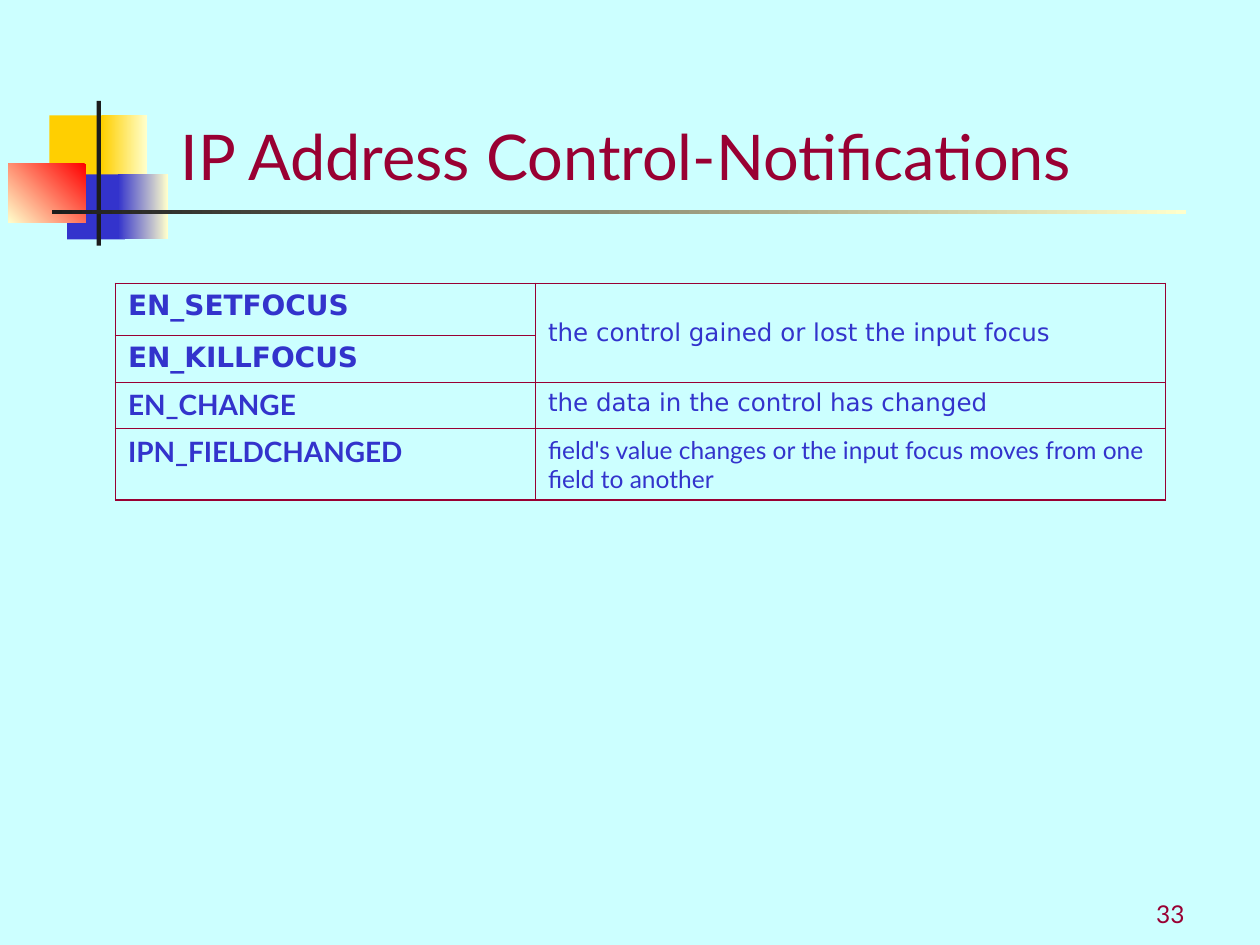
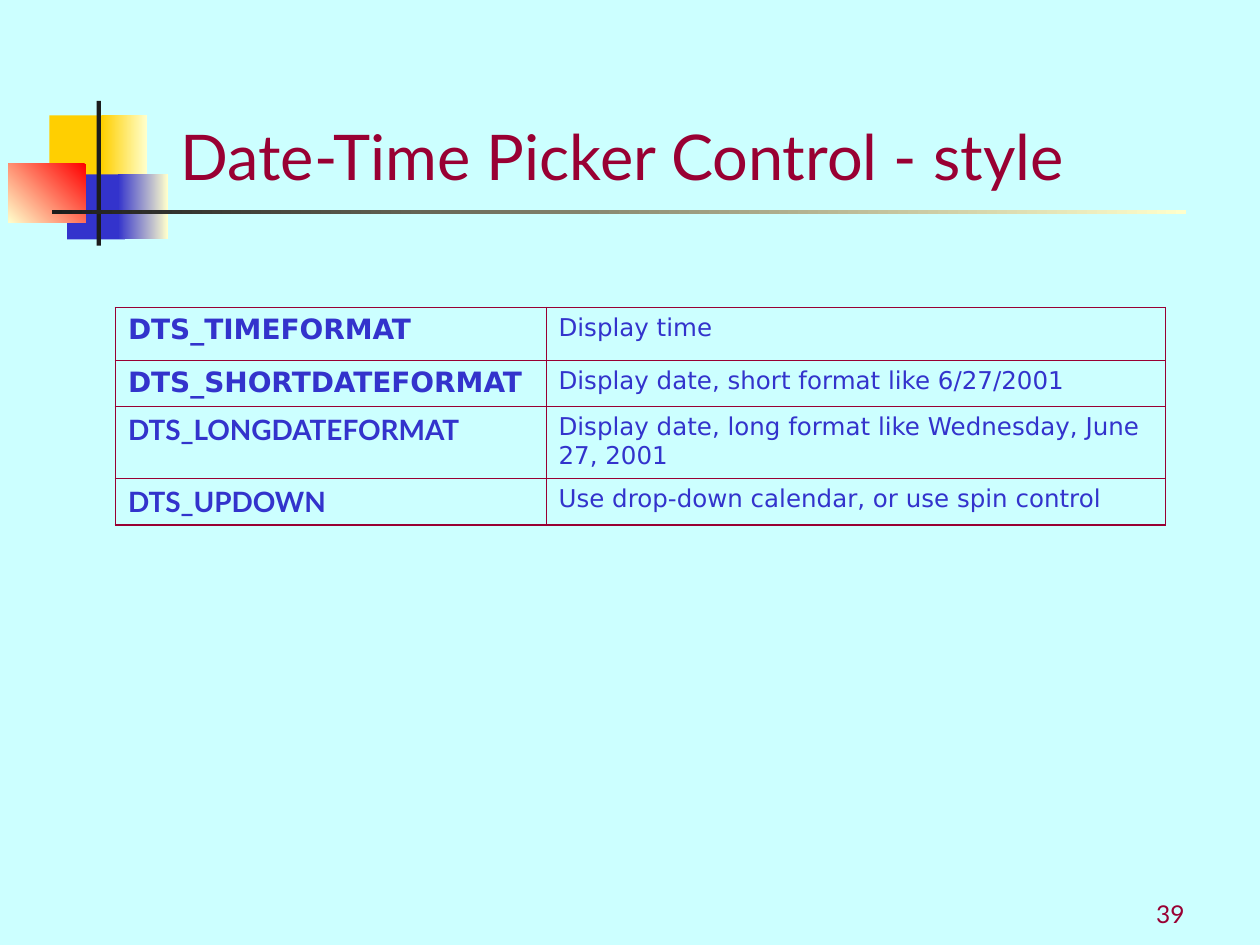
"""Build two slides listing control notifications and styles, on a 120 by 90 grid."""
from lxml.etree import SubElement
from pptx import Presentation
from pptx.dml.color import RGBColor
from pptx.enum.shapes import MSO_SHAPE as Shape
from pptx.enum.text import MSO_ANCHOR as Anchor, PP_ALIGN as Align
from pptx.oxml.ns import qn
from pptx.util import Inches, Pt

SKY = RGBColor(0xCC, 0xFF, 0xFF)
CREAM = RGBColor(0xFF, 0xFF, 0xCC)
GOLD = RGBColor(0xFF, 0xCF, 0x01)
BLUE = RGBColor(0x33, 0x33, 0xCC)
RED = RGBColor(0xFF, 0x00, 0x00)
INK = RGBColor(0x1C, 0x1C, 0x1C)
WINE = RGBColor(0x99, 0x00, 0x33)

SANS, LATO = "DejaVu Sans", "Lato"
OUTER, INNER = Pt(1.08), Pt(0.45)

deck = Presentation()
deck.slide_width, deck.slide_height = Inches(10), Inches(7.5)
UNIT = deck.slide_width // 120

emblem = [
    ((4.7, 11, 5.8, 6.25), [GOLD], 0),
    ((9.7, 11, 4.3, 6.25), [CREAM, GOLD], 180),
    ((6.4, 16.6, 5.5, 6.2), [BLUE], 0),
    ((11.2, 16.6, 4.8, 6.2), [CREAM, BLUE], 180),
    ((0.8, 15.6, 7.4, 5.6), [RED, CREAM], 225),
    ((9.2, 9.6, 0.4, 13.8), [INK], 0),
    ((5, 20, 108, 0.4), [CREAM, INK], 180),
]

pages = [
    {
        "title": "IP Address Control-Notifications",
        "number": "33",
        "top": 27,
        "columns": [40, 60],
        "heights": [4.95, 4.45, 4.45, 6.8],
        "entries": [
            ("EN_SETFOCUS", SANS, "the control gained or lost the input focus", SANS),
            ("EN_KILLFOCUS", SANS, "", SANS),
            ("EN_CHANGE", LATO, "the data in the control has changed", SANS),
            ("IPN_FIELDCHANGED", LATO,
             "field's value changes or the input focus moves from one field to another", LATO),
        ],
    },
    {
        "title": "Date-Time Picker Control - style",
        "number": "39",
        "top": 29.3,
        "columns": [41, 59],
        "heights": [5, 4.45, 6.8, 4.45],
        "entries": [
            ("DTS_TIMEFORMAT", SANS, "Display time", SANS),
            ("DTS_SHORTDATEFORMAT", SANS, "Display date, short format like 6/27/2001", SANS),
            ("DTS_LONGDATEFORMAT", LATO,
             "Display date, long format like Wednesday, June 27, 2001", SANS),
            ("DTS_UPDOWN", LATO, "Use drop-down calendar, or use spin control", SANS),
        ],
    },
]


def grid(*cells):
    return [round(cell * UNIT) for cell in cells]


def write(frame, text, face, size, color, bold=False, align=Align.LEFT):
    frame.word_wrap = True
    line = frame.paragraphs[0]
    line.alignment = align
    run = line.add_run()
    run.text = text
    run.font.name, run.font.size, run.font.bold = face, Pt(size), bold
    run.font.color.rgb = color


for page in pages:
    slide = deck.slides.add_slide(deck.slide_layouts[6])
    slide.background.fill.solid()
    slide.background.fill.fore_color.rgb = SKY

    for place, colors, angle in emblem:
        block = slide.shapes.add_shape(Shape.RECTANGLE, *grid(*place))
        block.shadow.inherit = False
        block.line.fill.background()
        if len(colors) == 1:
            block.fill.solid()
            block.fill.fore_color.rgb = colors[0]
        else:
            block.fill.gradient()
            block.fill.gradient_angle = angle
            for stop, color in zip(block.fill.gradient_stops, colors):
                stop.color.rgb = color

    for place, text, size, align in [
        ((16, 10, 91, 9), page["title"], 36, Align.LEFT),
        ((89, 83, 25, 6), page["number"], 14, Align.RIGHT),
    ]:
        frame = slide.shapes.add_textbox(*grid(*place)).text_frame
        frame.vertical_anchor = Anchor.BOTTOM
        write(frame, text, LATO, size, WINE, align=align)

    entries, heights = page["entries"], page["heights"]
    listing = slide.shapes.add_table(
        len(entries), 2, *grid(11, page["top"], 100, sum(heights))).table
    listing.first_row = listing.horz_banding = False
    for column, width in zip(listing.columns, grid(*page["columns"])):
        column.width = width
    for row, height in zip(listing.rows, grid(*heights)):
        row.height = height

    last = len(entries) - 1
    for index, (name, name_face, meaning, meaning_face) in enumerate(entries):
        name_cell, meaning_cell = listing.cell(index, 0), listing.cell(index, 1)
        write(name_cell.text_frame, name, name_face, 16, BLUE, bold=True)
        if meaning:
            write(meaning_cell.text_frame, meaning, meaning_face, 14, BLUE)
        else:
            above = listing.cell(index - 1, 1)
            above.merge(meaning_cell)
            above.vertical_anchor = Anchor.MIDDLE

        for side, cell in enumerate((name_cell, meaning_cell)):
            props = cell._tc.get_or_add_tcPr()
            for edge, outside in [("lnL", side == 0), ("lnR", side == 1),
                                  ("lnT", index == 0), ("lnB", index == last)]:
                border = SubElement(props, qn(f"a:{edge}"), w=str(OUTER if outside else INNER))
                SubElement(SubElement(border, qn("a:solidFill")), qn("a:srgbClr"), val=str(WINE))
            cell.fill.background()

deck.save("out.pptx")
